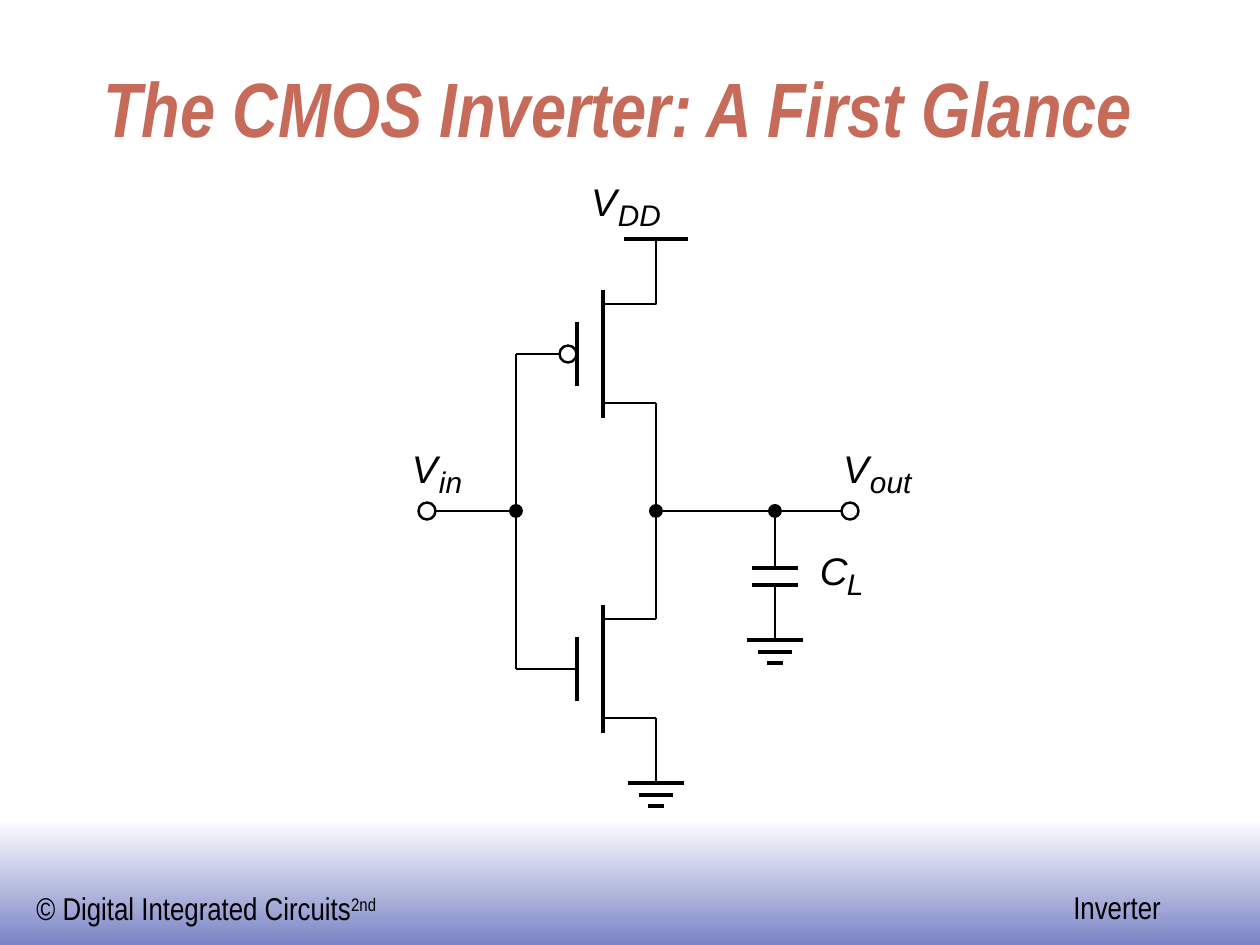
"""Build the CMOS inverter schematic slide."""
from lxml import etree
from pptx import Presentation
from pptx.dml.color import RGBColor
from pptx.enum.shapes import MSO_CONNECTOR, MSO_SHAPE
from pptx.enum.text import MSO_ANCHOR
from pptx.oxml.ns import qn
from pptx.util import Pt

LINE = MSO_CONNECTOR.STRAIGHT
OVAL, RECT = MSO_SHAPE.OVAL, MSO_SHAPE.RECTANGLE
TOP, BOTTOM = MSO_ANCHOR.TOP, MSO_ANCHOR.BOTTOM
PX = 914400 / 126
THIN, THICK = 1.39, 2
COLORS = {"ink": "000000", "title": "C66B5A", "white": "FFFFFF", "band": "7B84C6"}

TITLE = "The CMOS Inverter: A First Glance"
FOOTERS = [
    ((24, 883, 376, 50), [("© Digital Integrated Circuits", 0), ("2nd", 30000)]),
    ((1061, 882, 124, 50), [("Inverter", 0)]),
]
LABELS = [("V", "in", 412, 445), ("V", "out", 843, 445),
          ("C", "L", 820, 547), ("V", "DD", 591, 178)]
SYMBOL_W, SUB_CHAR_W, SUB_DX, SUB_DY = 30, 24, 27, 19

GATE_X, PLATE_X, CHANNEL_X, DRAIN_X, CAP_X = 516, 577, 603, 656, 775
NODE_Y, SUPPLY_Y, PMOS_Y, NMOS_Y = 511, 239, 290, 605
CHANNEL_H, STUB_TOP, STUB_BOTTOM, GATE_DY = 128, 14, 113, 64
CAP_PLATES = (568, 585)
GROUNDS = [(DRAIN_X, 783), (CAP_X, 640)]
GROUND_BARS = [(0, 28), (12, 17), (23, 8)]
DOTS = [GATE_X, DRAIN_X, CAP_X]
RINGS = [(568, PMOS_Y + GATE_DY), (427, NODE_Y), (850, NODE_Y)]
RING_R, DOT_R = 8.5, 7

WIRES = [
    (435, NODE_Y, GATE_X, NODE_Y),
    (DRAIN_X, NODE_Y, 842, NODE_Y),
    (GATE_X, PMOS_Y + GATE_DY, GATE_X, NMOS_Y + GATE_DY),
    (GATE_X, PMOS_Y + GATE_DY, 560, PMOS_Y + GATE_DY),
    (GATE_X, NMOS_Y + GATE_DY, PLATE_X, NMOS_Y + GATE_DY),
    (CHANNEL_X, PMOS_Y + STUB_BOTTOM, DRAIN_X, PMOS_Y + STUB_BOTTOM),
    (CHANNEL_X, NMOS_Y + STUB_TOP, DRAIN_X, NMOS_Y + STUB_TOP),
    (CHANNEL_X, NMOS_Y + STUB_BOTTOM, DRAIN_X, NMOS_Y + STUB_BOTTOM),
    (DRAIN_X, PMOS_Y + STUB_BOTTOM, DRAIN_X, NMOS_Y + STUB_TOP),
    (DRAIN_X, NMOS_Y + STUB_BOTTOM, *GROUNDS[0]),
    (CAP_X, NODE_Y, CAP_X, CAP_PLATES[0]),
    (CAP_X, CAP_PLATES[1], *GROUNDS[1]),
]
SUPPLY_WIRE = [(DRAIN_X, SUPPLY_Y), (DRAIN_X, PMOS_Y + STUB_TOP),
               (CHANNEL_X, PMOS_Y + STUB_TOP)]


def emu(*values):
    return [round(v * PX) for v in values]


def rgb(name):
    return RGBColor.from_string(COLORS[name])


def add_text(slide, box, runs, size, font, color="ink", bold=False, italic=False,
             inset=(0, 0), anchor=TOP):
    tf = slide.shapes.add_textbox(*emu(*box)).text_frame
    tf.word_wrap, tf.vertical_anchor = True, anchor
    tf.margin_left = tf.margin_right = Pt(inset[0])
    tf.margin_top = tf.margin_bottom = Pt(inset[1])
    for text, baseline in runs:
        r = tf.paragraphs[0].add_run()
        r.text = text
        r.font.size, r.font.name = Pt(size), font
        r.font.bold, r.font.italic = bold, italic
        r.font.color.rgb = rgb(color)
        if baseline:
            r._r.get_or_add_rPr().set("baseline", str(baseline))


def add_line(slide, x1, y1, x2, y2, width=THIN):
    cxn = slide.shapes.add_connector(LINE, *emu(x1, y1, x2, y2))
    cxn.line.color.rgb = rgb("ink")
    cxn.line.width = Pt(width)
    etree.SubElement(cxn._element.spPr, qn("a:effectLst"))


def add_bar(slide, x, y, half):
    add_line(slide, x - half, y, x + half, y, THICK)


def outline(sp):
    sp.shadow.inherit = False
    sp.fill.background()
    sp.line.color.rgb = rgb("ink")
    sp.line.width = Pt(THIN)


def add_circle(slide, x, y, radius):
    return slide.shapes.add_shape(
        OVAL, *emu(x - radius, y - radius, 2 * radius, 2 * radius))


def add_dot(slide, x, y):
    sp = add_circle(slide, x, y, DOT_R)
    sp.shadow.inherit = False
    sp.fill.solid()
    sp.fill.fore_color.rgb = rgb("ink")
    sp.line.fill.background()


def add_band(slide):
    sp = slide.shapes.add_shape(RECT, *emu(0, 819, 1260, 126))
    sp.shadow.inherit = False
    sp.line.fill.background()
    sp.fill.gradient()
    sp.fill.gradient_angle = 270
    for stop, pos, name in zip(sp.fill.gradient_stops, (0, 1), ("white", "band")):
        stop.position = pos
        stop.color.rgb = rgb(name)


def add_circuit(slide):
    for wire in WIRES:
        add_line(slide, *wire)
    fb = slide.shapes.build_freeform(*SUPPLY_WIRE[0], scale=PX)
    fb.add_line_segments(SUPPLY_WIRE[1:], close=False)
    outline(fb.convert_to_shape())
    for top in (PMOS_Y, NMOS_Y):
        add_line(slide, CHANNEL_X, top, CHANNEL_X, top + CHANNEL_H, THICK)
        add_line(slide, PLATE_X, top + 32, PLATE_X, top + 96, THICK)
    add_bar(slide, DRAIN_X, SUPPLY_Y, 32)
    for y in CAP_PLATES:
        add_bar(slide, CAP_X, y, 23)
    for x, y in GROUNDS:
        for dy, half in GROUND_BARS:
            add_bar(slide, x, y + dy, half)
    for x in DOTS:
        add_dot(slide, x, NODE_Y)
    for x, y in RINGS:
        outline(add_circle(slide, x, y, RING_R))


def main():
    prs = Presentation()
    prs.slide_width, prs.slide_height = emu(1260, 945)
    s = prs.slides.add_slide(prs.slide_layouts[6])
    add_band(s)
    for box, runs in FOOTERS:
        add_text(s, box, runs, 18, "Arial Narrow", inset=(7.2, 3.6))
    add_text(s, (91, 61, 1071, 98), [(TITLE, 0)], 44, "Arial Narrow", "title",
             True, True, (7.2, 3.6), BOTTOM)
    add_circuit(s)
    for symbol, sub, x, y in LABELS:
        add_text(s, (x, y, SYMBOL_W, 47), [(symbol, 0)], 22, "Arial", italic=True)
        add_text(s, (x + SUB_DX, y + SUB_DY, SUB_CHAR_W * len(sub), 35), [(sub, 0)],
                 17, "Arial", italic=True)
    prs.save("out.pptx")


if __name__ == "__main__":
    main()
